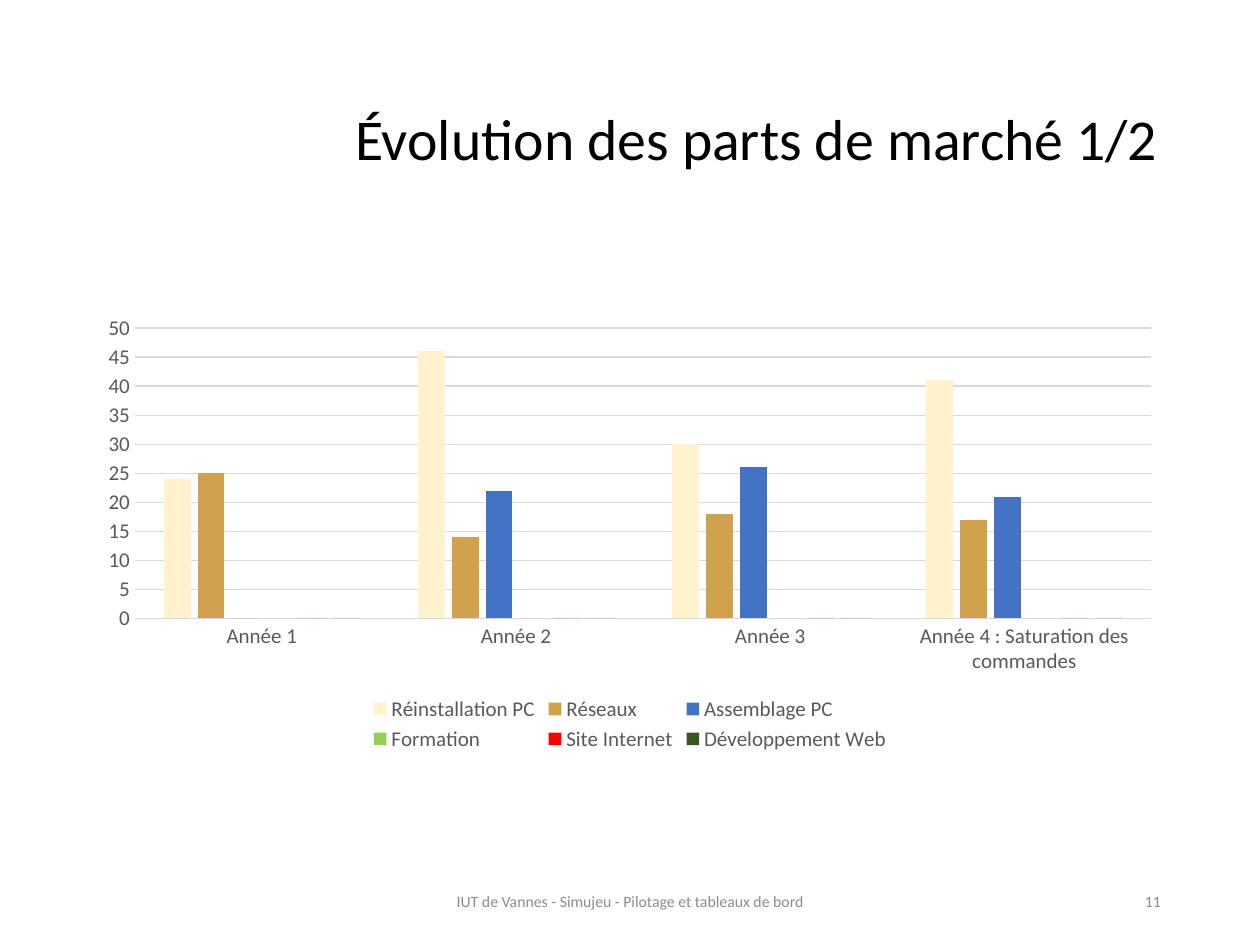
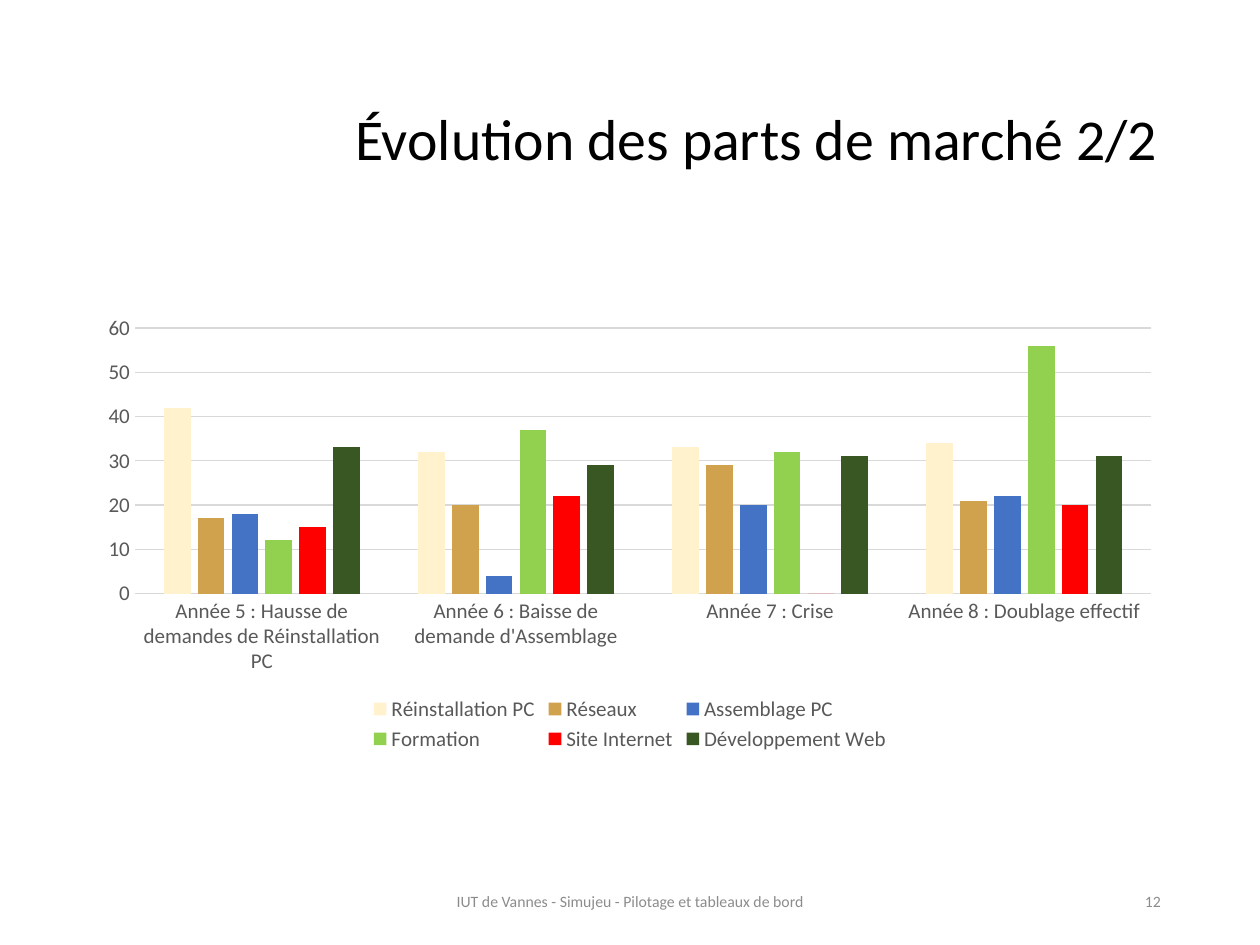
import pptx
import pptx.chart.data
import pptx.dml.color
import pptx.enum.chart
import pptx.enum.text
import pptx.util

Cm, Pt = pptx.util.Cm, pptx.util.Pt
RGB = pptx.dml.color.RGBColor
Align = pptx.enum.text.PP_ALIGN

# Content
TITLE = "Évolution des parts de marché"
FOOTER = "IUT de Vannes - Simujeu - Pilotage et tableaux de bord"
FIRST = 11
SERIES = [
    ("Réinstallation PC", RGB(0xFF, 0xF2, 0xCC)),
    ("Réseaux", RGB(0xD0, 0xA2, 0x4E)),
    ("Assemblage PC", RGB(0x44, 0x72, 0xC4)),
    ("Formation", RGB(0x92, 0xD0, 0x50)),
    ("Site Internet", RGB(0xFF, 0x00, 0x00)),
    ("Développement Web", RGB(0x38, 0x57, 0x23)),
]
# One row per year, one value per series
PAGES = [
    {"top": 50, "step": 5, "years": [
        ("Année 1", (24, 25, 0, 0, 0, 0)),
        ("Année 2", (46, 14, 22, 0, 0, 0)),
        ("Année 3", (30, 18, 26, 0, 0, 0)),
        ("Année 4 : Saturation des commandes", (41, 17, 21, 0, 0, 0)),
    ]},
    {"top": 60, "step": 10, "years": [
        ("Année 5 : Hausse de demandes de Réinstallation PC",
         (42, 17, 18, 12, 15, 33)),
        ("Année 6 : Baisse de demande d'Assemblage",
         (32, 20, 4, 37, 22, 29)),
        ("Année 7 : Crise", (33, 29, 20, 32, 0, 31)),
        ("Année 8 : Doublage effectif", (34, 21, 22, 56, 20, 31)),
    ]},
]

# Shared style
FONT = "Calibri"
BLACK = RGB(0, 0, 0)
GREY = RGB(0x59, 0x59, 0x59)
PALE = RGB(0x8C, 0x8C, 0x8C)
RULE = RGB(0xD9, 0xD9, 0xD9)

# Places: left, top, width, height
WIDTH, HEIGHT = Cm(25.4), Cm(19.05)
HEAD = Cm(6.91), Cm(1.02), Cm(16.76), Cm(3.68)
PLOT = Cm(1.75), Cm(6.18), Cm(21.9), Cm(9.07)
FOOT = Cm(8.41), Cm(17.65), Cm(8.58), Cm(1.02)
PAGE = Cm(17.93), Cm(17.65), Cm(5.72), Cm(1.02)


def style(font, size, color):
    font.name, font.size = FONT, Pt(size)
    font.color.rgb = color


def write(slide, place, text, size, color, align):
    frame = slide.shapes.add_textbox(*place).text_frame
    frame.word_wrap = True
    frame.vertical_anchor = pptx.enum.text.MSO_ANCHOR.MIDDLE
    frame.text = text
    para = frame.paragraphs[0]
    para.alignment = align
    style(para.runs[0].font, size, color)
    return para


def rule(line):
    line.color.rgb = RULE
    line.width = Pt(0.75)


def draw(slide, page):
    data = pptx.chart.data.CategoryChartData()
    data.categories = [year for year, _ in page["years"]]
    columns = zip(*(values for _, values in page["years"]))
    for (name, _), values in zip(SERIES, columns):
        data.add_series(name, values)
    kind = pptx.enum.chart.XL_CHART_TYPE.COLUMN_CLUSTERED
    chart = slide.shapes.add_chart(kind, *PLOT, data).chart
    chart.has_title = False
    style(chart.font, 10, BLACK)

    # Bars
    plot = chart.plots[0]
    plot.vary_by_categories = False
    plot.gap_width, plot.overlap = 219, -27
    for bar, (_, color) in zip(plot.series, SERIES):
        bar.format.fill.solid()
        bar.format.fill.fore_color.rgb = color
        bar.invert_if_negative = False

    # Axes
    years, scale = chart.category_axis, chart.value_axis
    for axis in (years, scale):
        axis.major_tick_mark = pptx.enum.chart.XL_TICK_MARK.NONE
        axis.minor_tick_mark = pptx.enum.chart.XL_TICK_MARK.NONE
        style(axis.tick_labels.font, 12, GREY)
    rule(years.format.line)
    scale.format.line.fill.background()
    scale.has_major_gridlines = True
    rule(scale.major_gridlines.format.line)
    scale.minimum_scale, scale.maximum_scale = 0, page["top"]
    scale.major_unit = page["step"]

    # Legend
    chart.has_legend = True
    chart.legend.position = pptx.enum.chart.XL_LEGEND_POSITION.BOTTOM
    chart.legend.include_in_layout = False
    style(chart.legend.font, 12, GREY)


def main():
    deck = pptx.Presentation()
    deck.slide_width, deck.slide_height = WIDTH, HEIGHT
    for index, page in enumerate(PAGES):
        slide = deck.slides.add_slide(deck.slide_layouts[6])
        text = f"{TITLE} {index + 1}/{len(PAGES)}"
        title = write(slide, HEAD, text, 33, BLACK, Align.LEFT)
        title.line_spacing = 0.9
        draw(slide, page)
        write(slide, PAGE, str(FIRST + index), 9, PALE, Align.RIGHT)
        write(slide, FOOT, FOOTER, 9, PALE, Align.CENTER)
    deck.save("out.pptx")


if __name__ == "__main__":
    main()
